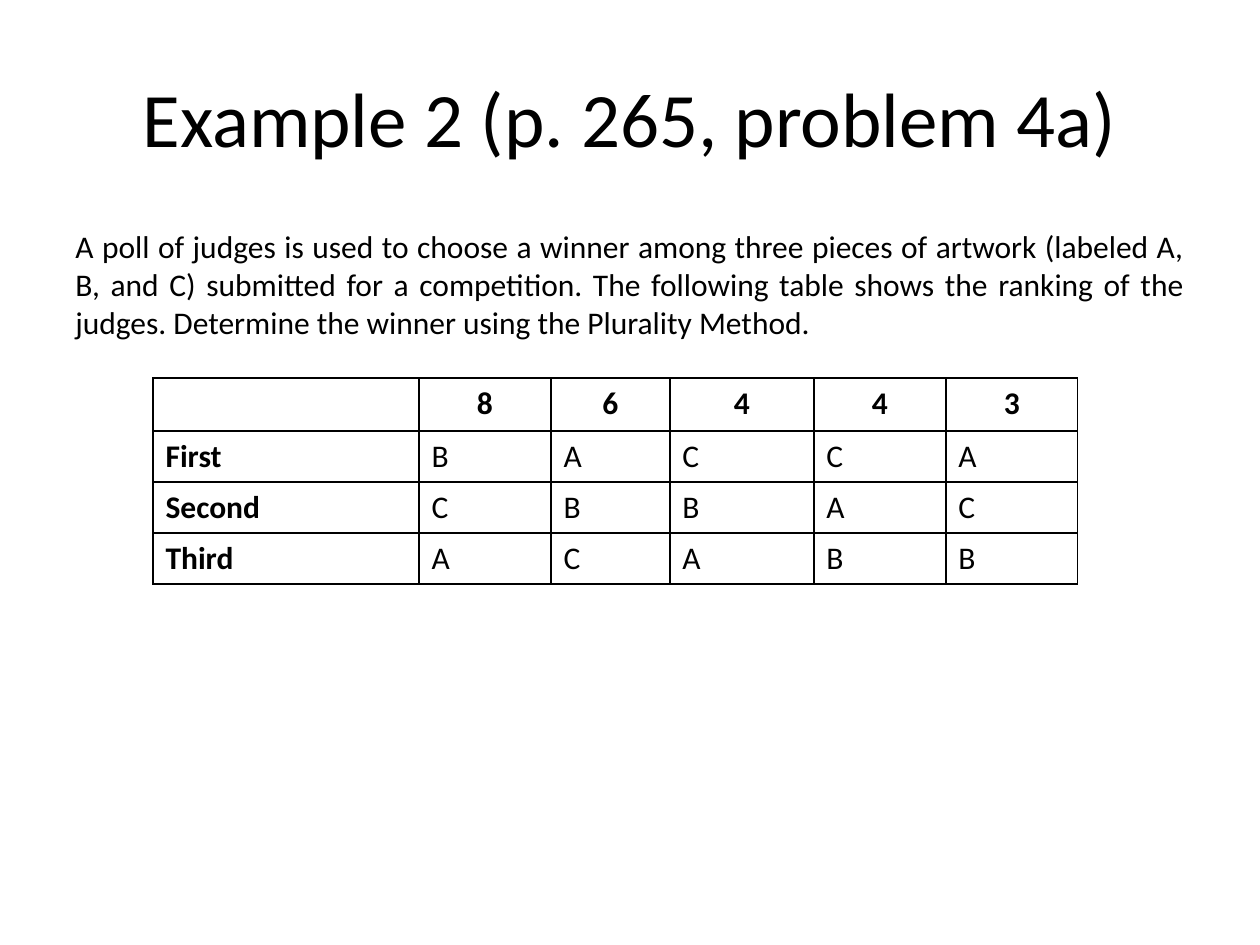
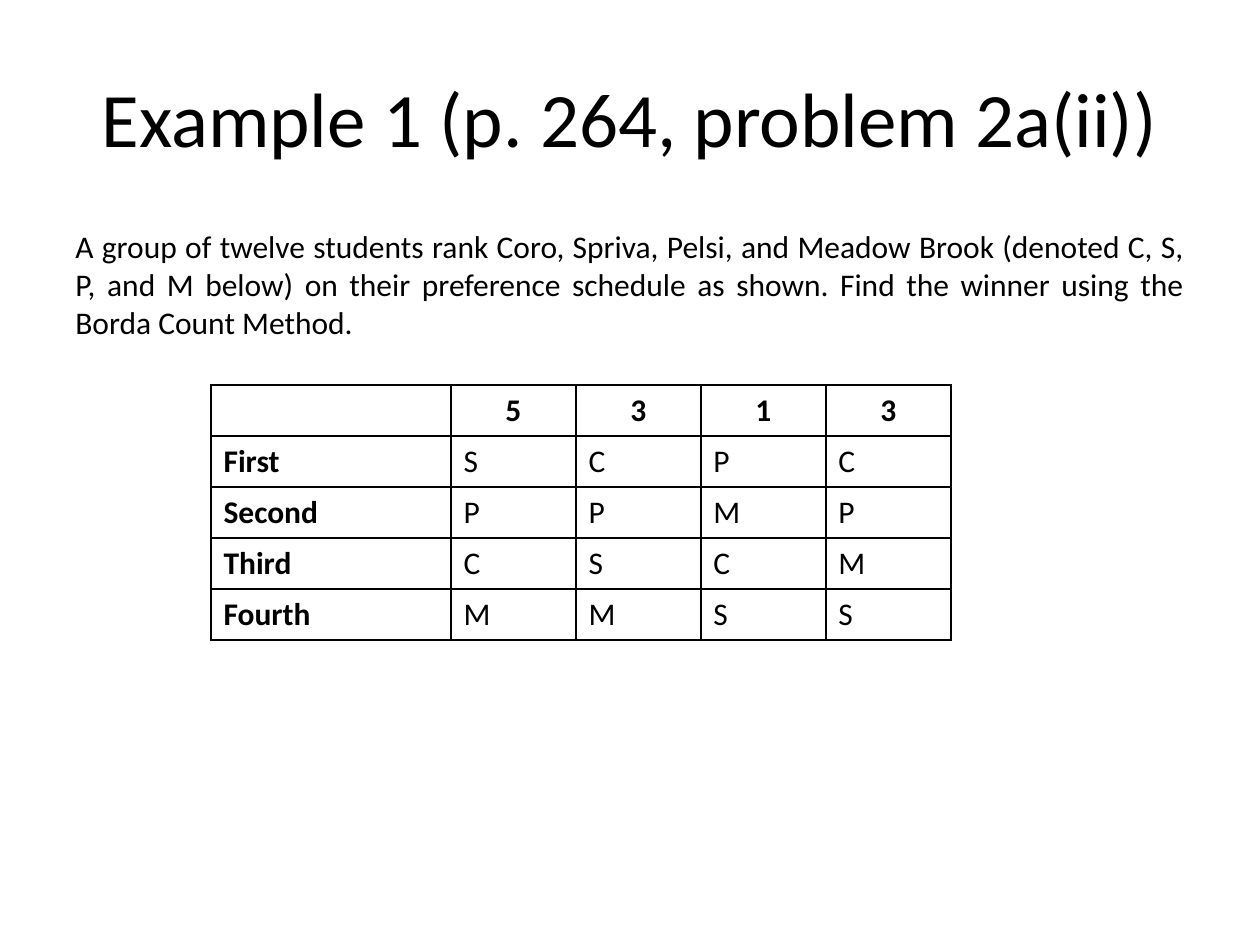
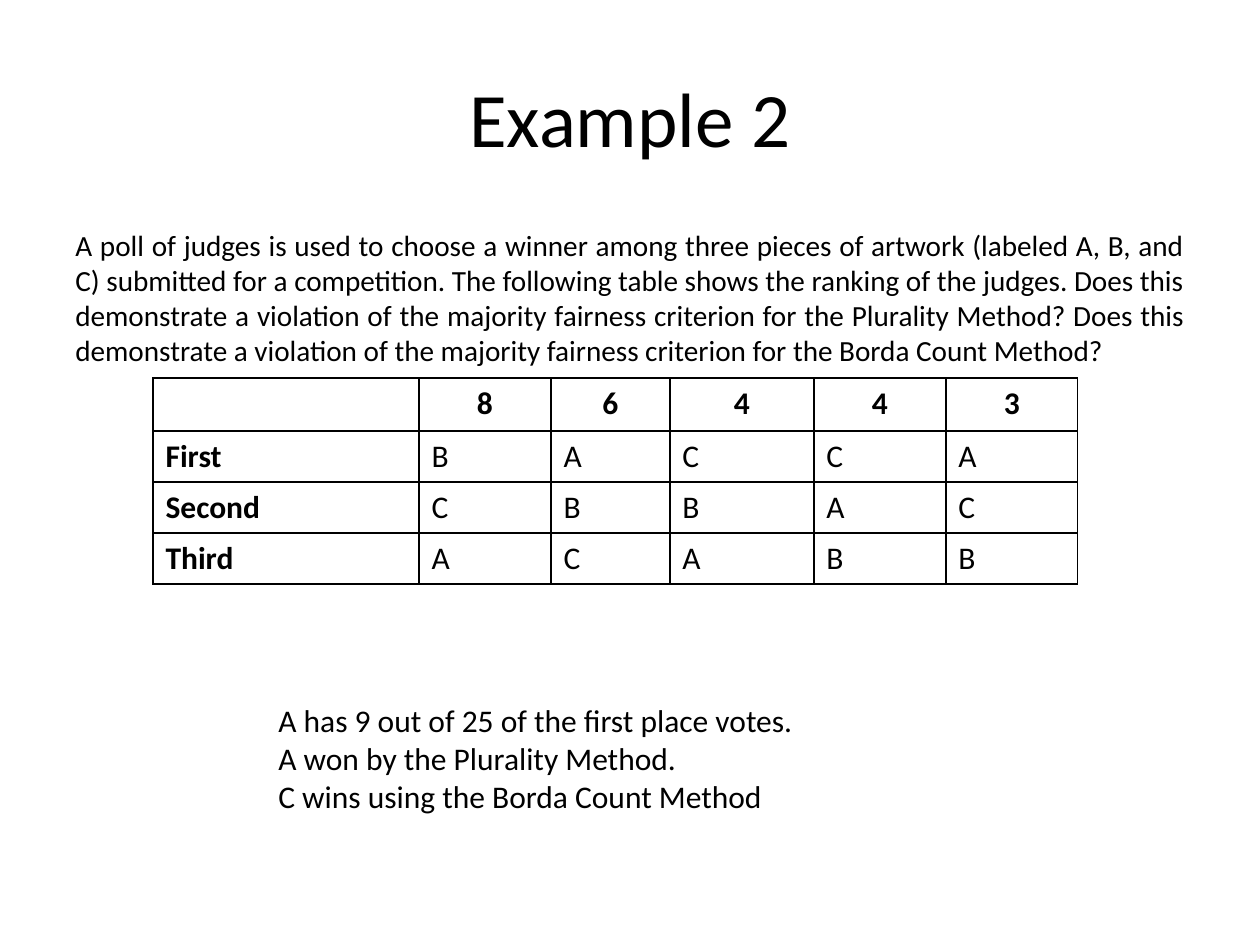
from lxml import etree
from pptx import Presentation
from pptx.dml.color import RGBColor
from pptx.enum.text import MSO_ANCHOR, PP_ALIGN
from pptx.oxml.ns import qn
from pptx.util import Pt

LEFT, CENTER, JUSTIFY = PP_ALIGN.LEFT, PP_ALIGN.CENTER, PP_ALIGN.JUSTIFY
TOP, MIDDLE = MSO_ANCHOR.TOP, MSO_ANCHOR.MIDDLE

PX = 914400 / 126
FONT = "Calibri"
BLACK = "000000"
BORDER = Pt(1)
TITLE_ONLY = 5

TITLE_BOX = (63, 38, 1134, 157)
QUESTION_BOX = (63, 221, 1134, 157)
ANSWER_BOX = (266, 695, 630, 127)

# Ranking tables: voters in the header, then one row per place
ARTWORK = {
    "origin": (153, 378),
    "cols": [266, 132, 119, 144, 132, 132],
    "rows": [53, 51, 51, 51],
    "cells": [["", "8", "6", "4", "4", "3"],
              ["First", *"BACCA"],
              ["Second", *"CBBAC"],
              ["Third", *"ACABB"]],
}
DRINKS = {
    "origin": (211, 385),
    "cols": [240] + [125] * 4,
    "rows": [51] * 5,
    "cells": [["", "5", "3", "1", "3"],
              ["First", *"SCPC"],
              ["Second", *"PPMP"],
              ["Third", *"CSCM"],
              ["Fourth", *"MMSS"]],
}
ARTWORK_INTRO = (
    "A poll of judges is used to choose a winner among three pieces of artwork "
    "(labeled A, B, and C) submitted for a competition. The following table "
    "shows the ranking of the judges. ")


def emu(*lengths):
    return [round(n * PX) for n in lengths]


def rgb(value):
    return RGBColor.from_string(value)


def write(tf, text, size, align, anchor=TOP, bold=False):
    tf.text = text
    tf.word_wrap = True
    tf.vertical_anchor = anchor
    for p in tf.paragraphs:
        p.alignment = align
        font = p.font
        font.name, font.size, font.bold = FONT, Pt(size), bold
        font.color.rgb = rgb(BLACK)


def add_text(slide, box, text, size, align):
    sp = slide.shapes.add_textbox(*emu(*box))
    write(sp.text_frame, text, size, align)


def set_borders(cell):
    tcPr = cell._tc.get_or_add_tcPr()
    for side in ("a:lnL", "a:lnR", "a:lnT", "a:lnB"):
        ln = etree.SubElement(tcPr, qn(side), w=str(BORDER))
        fill = etree.SubElement(ln, qn("a:solidFill"))
        etree.SubElement(fill, qn("a:srgbClr"), val=BLACK)


def add_ranking(slide, ranking):
    cols, rows = ranking["cols"], ranking["rows"]
    box = (*ranking["origin"], sum(cols), sum(rows))
    table = slide.shapes.add_table(len(rows), len(cols), *emu(*box)).table
    table.first_row = table.horz_banding = False
    for column, width in zip(table.columns, emu(*cols)):
        column.width = width
    for row, height in zip(table.rows, emu(*rows)):
        row.height = height
    for i, texts in enumerate(ranking["cells"]):
        for j, text in enumerate(texts):
            cell = table.cell(i, j)
            write(cell.text_frame, text, 18, LEFT if i else CENTER,
                  bold=i == 0 or j == 0)
            set_borders(cell)
            cell.fill.background()


def add_example(prs, title, question, ranking, size=18):
    slide = prs.slides.add_slide(prs.slide_layouts[TITLE_ONLY])
    sp = slide.shapes.title
    sp.left, sp.top, sp.width, sp.height = emu(*TITLE_BOX)
    write(sp.text_frame, title, 44, CENTER, MIDDLE)
    add_text(slide, QUESTION_BOX, question, size, JUSTIFY)
    add_ranking(slide, ranking)
    return slide


def main():
    prs = Presentation()
    prs.slide_width, prs.slide_height = emu(1260, 945)

    # Plurality Method
    add_example(
        prs, "Example 2 (p. 265, problem 4a)",
        ARTWORK_INTRO + "Determine the winner using the Plurality Method.",
        ARTWORK)

    # Borda Count Method
    add_example(
        prs, "Example 1 (p. 264, problem 2a(ii))",
        "A group of twelve students rank Coro, Spriva, Pelsi, and Meadow Brook "
        "(denoted C, S, P, and M below) on their preference schedule as shown. "
        "Find the winner using the Borda Count Method.",
        DRINKS)

    # Majority fairness criterion
    violation = ("Does this demonstrate a violation of the majority fairness "
                 "criterion for the {} Method?")
    slide = add_example(
        prs, "Example 2",
        ARTWORK_INTRO + " ".join(violation.format(method) for method in
                                 ("Plurality", "Borda Count")),
        ARTWORK, size=16.7)
    add_text(slide, ANSWER_BOX,
             "A has 9 out of 25 of the first place votes.\n"
             "A won by the Plurality Method.\n"
             "C wins using the Borda Count Method", 18, LEFT)

    prs.save("out.pptx")


if __name__ == "__main__":
    main()
